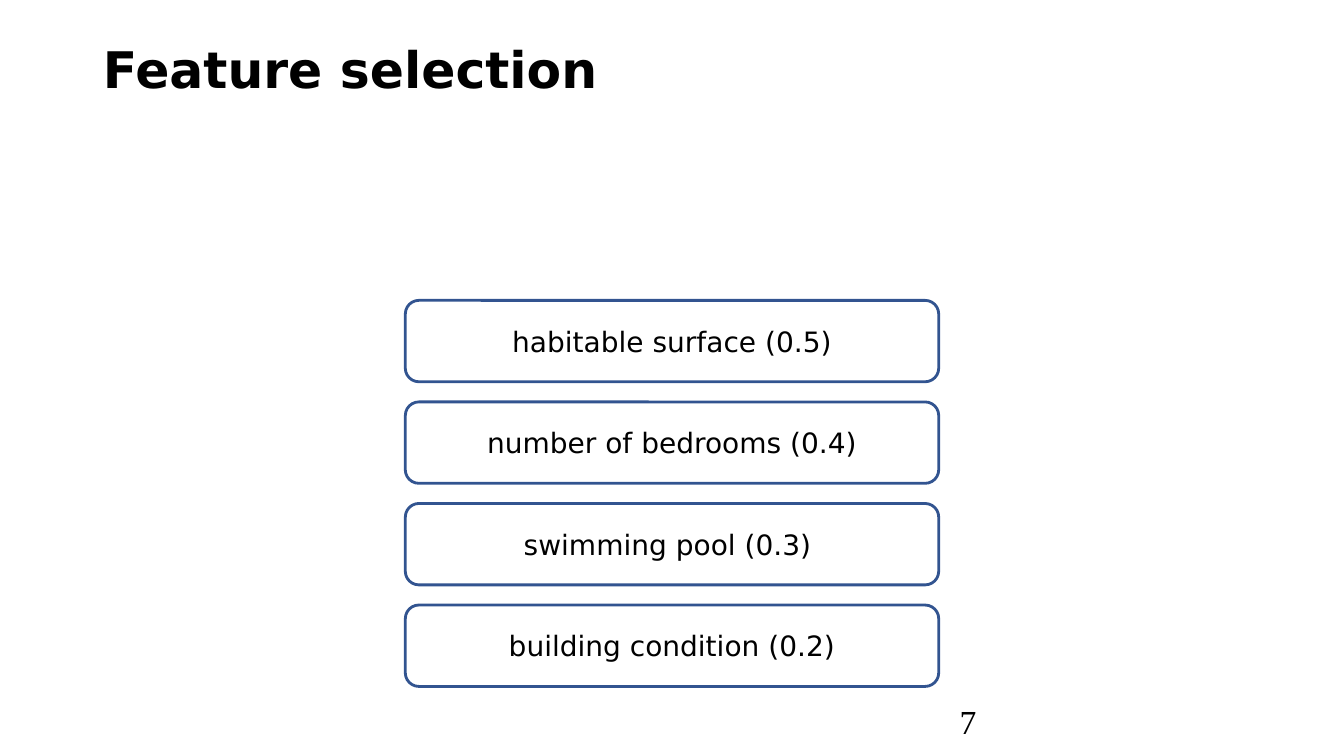
from pptx import Presentation
from pptx.dml.color import RGBColor
from pptx.enum.shapes import MSO_SHAPE as Shape
from pptx.enum.text import MSO_ANCHOR as Anchor, PP_ALIGN as Align
from pptx.util import Inches, Pt

COLORS = {"text": "000000", "outline": "325490"}
SANS, SERIF = "DejaVu Sans", "Times New Roman"
TITLE_ONLY = 5
FEATURES = [
    "habitable surface (0.5)",
    "number of bedrooms (0.4)",
    "swimming pool (0.3) ",
    "building condition (0.2)",
]


def color(name):
    return RGBColor.from_string(COLORS[name])


def write(shape, text, size, font=SANS, bold=False, align=Align.LEFT, anchor=Anchor.MIDDLE):
    frame = shape.text_frame
    frame.text = text
    frame.word_wrap = True
    frame.vertical_anchor = anchor
    paragraph = frame.paragraphs[0]
    paragraph.alignment = align
    for run in paragraph.runs:
        run.font.name = font
        run.font.size = Pt(size)
        run.font.bold = bold
        run.font.color.rgb = color("text")
    return paragraph


def add_title(slide, text, left, top, width, height):
    title = slide.shapes.title
    title.left, title.top = Inches(left), Inches(top)
    title.width, title.height = Inches(width), Inches(height)
    paragraph = write(title, text, 36, bold=True, anchor=Anchor.TOP)
    paragraph.line_spacing = 0.9


def add_feature_stack(slide, features, left, top, width, height, gap=0.2):
    """Fill the box with equally tall feature cards, one below the other."""
    card_height = (height - gap * (len(features) - 1)) / len(features)
    for index, feature in enumerate(features):
        card_top = top + index * (card_height + gap)
        card = slide.shapes.add_shape(
            Shape.ROUNDED_RECTANGLE,
            Inches(left), Inches(card_top), Inches(width), Inches(card_height))
        card.shadow.inherit = False
        card.fill.background()
        card.line.color.rgb = color("outline")
        card.line.width = Pt(2)
        write(card, feature, 20, align=Align.CENTER)


def add_page_number(slide, number, left, top, width, height):
    box = slide.shapes.add_textbox(
        Inches(left), Inches(top), Inches(width), Inches(height))
    write(box, number, 24, font=SERIF)


presentation = Presentation()
presentation.slide_width = Inches(13.33)
presentation.slide_height = Inches(7.5)
slide = presentation.slides.add_slide(presentation.slide_layouts[TITLE_ONLY])

# Title
add_title(slide, "Feature selection", 0.92, 0.4, 11.5, 0.83)

# Features, from the highest score to the lowest
add_feature_stack(slide, FEATURES, 4.02, 2.98, 5.29, 3.83)

# Page number
add_page_number(slide, "7", 9.42, 6.95, 3, 0.4)

presentation.save("out.pptx")
